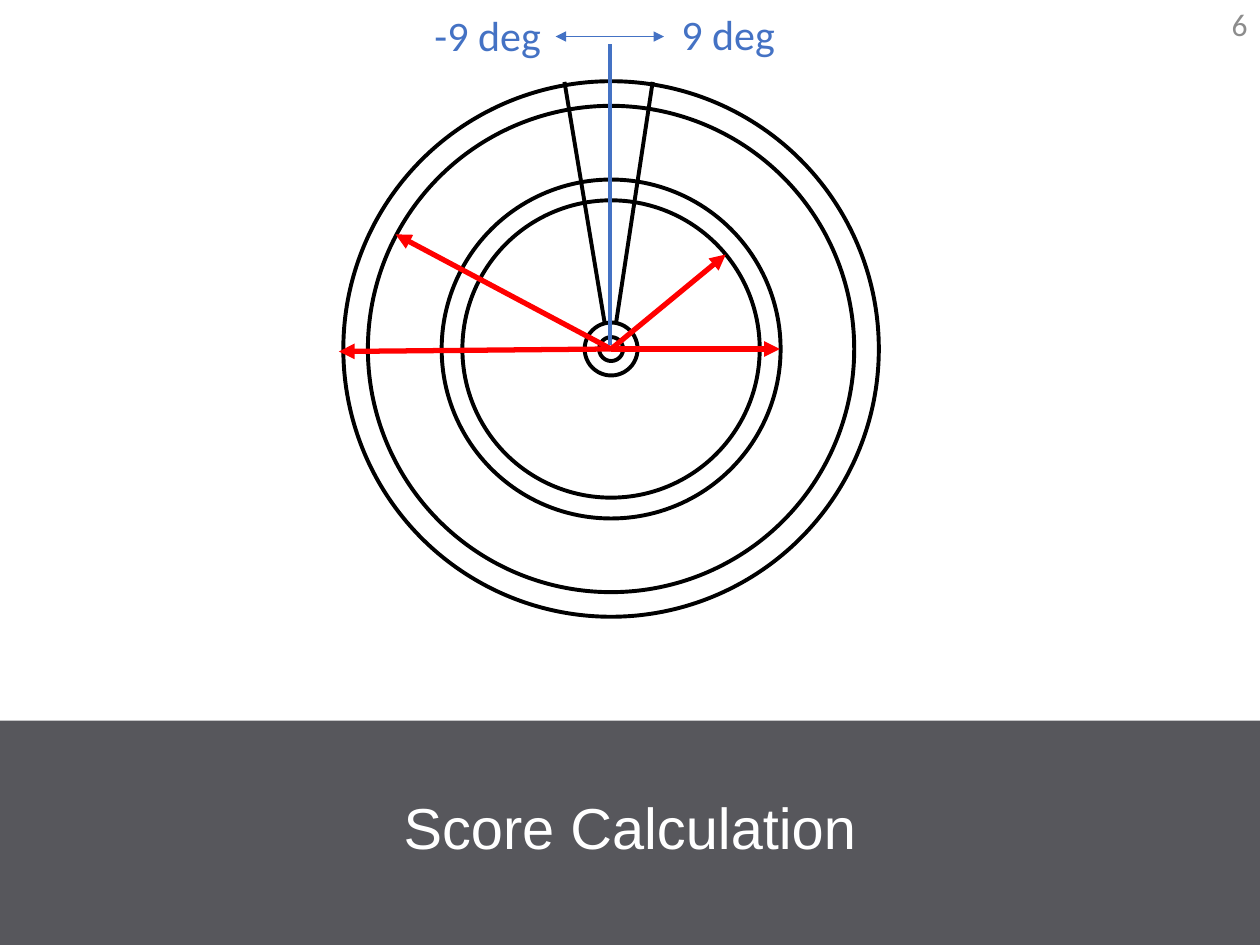
import pptx
import pptx.util
import pptx.dml.color
import pptx.enum.shapes
import pptx.enum.text
import pptx.oxml
import pptx.oxml.ns

Inches = pptx.util.Inches
Pt = pptx.util.Pt
RGBColor = pptx.dml.color.RGBColor
ALIGN = pptx.enum.text.PP_ALIGN
ANCHOR = pptx.enum.text.MSO_ANCHOR
SHAPE = pptx.enum.shapes.MSO_SHAPE

WHITE = RGBColor(0xFF, 0xFF, 0xFF)
BLACK = RGBColor(0x00, 0x00, 0x00)
RED = RGBColor(0xFF, 0x00, 0x00)
BLUE = RGBColor(0x44, 0x72, 0xC4)
GRAY = RGBColor(0x8C, 0x8C, 0x8C)
SLATE = RGBColor(0x57, 0x57, 0x5C)

CENTER = (4.85, 2.77)
RING_DIAMETERS = (0.19, 0.42, 2.36, 2.69, 4.25, 3.86)
WEDGE_SIDES = (((4.8, 2.57), (4.48, 0.65)), ((4.89, 2.56), (5.18, 0.65)))
RADIUS_TIPS = ((5.76, 2.02), (6.19, 2.77), (3.14, 1.86), (2.69, 2.79))


def add_panel(slide):
    s = slide.shapes.add_shape(SHAPE.RECTANGLE, Inches(-0.01), Inches(0),
                               Inches(10.01), Inches(5.72))
    s.shadow.inherit = False
    s.fill.solid()
    s.fill.fore_color.rgb = WHITE
    s.line.fill.background()


def add_ring(slide, diameter):
    """Draw an unfilled circle around the board's centre."""
    left, top = (c - diameter / 2 for c in CENTER)
    s = slide.shapes.add_shape(SHAPE.OVAL, Inches(left), Inches(top),
                               Inches(diameter), Inches(diameter))
    s.shadow.inherit = False
    s.fill.background()
    s.line.color.rgb = BLACK
    s.line.width = Pt(2.25)


def add_line(slide, start, end, color, width, arrows=()):
    """Draw a line; arrows lists the decorated ends in order: headEnd, tailEnd."""
    c = slide.shapes.add_connector(pptx.enum.shapes.MSO_CONNECTOR.STRAIGHT,
                                   *map(Inches, start + end))
    c.line.color.rgb = color
    c.line.width = Pt(width)
    ln = c.line._get_or_add_ln()
    for name in arrows:
        pptx.oxml.ns.qn
        end_mark = pptx.oxml.parse_xml(
            f'<a:{name} {pptx.oxml.ns.nsdecls("a")} type="triangle"/>')
        ln.append(end_mark)
    c._element.spPr.append(
        pptx.oxml.parse_xml(f'<a:effectLst {pptx.oxml.ns.nsdecls("a")}/>'))


def add_text(slide, text, box, size, color, font="Calibri",
             align=ALIGN.LEFT, anchor=ANCHOR.TOP, spacing=1.0):
    tf = slide.shapes.add_textbox(*map(Inches, box)).text_frame
    tf.word_wrap = True
    tf.vertical_anchor = anchor
    p = tf.paragraphs[0]
    p.alignment = align
    p.line_spacing = spacing
    r = p.add_run()
    r.text = text
    for name, value in {"name": font, "size": Pt(size)}.items():
        setattr(r.font, name, value)
    r.font.color.rgb = color


def main():
    prs = pptx.Presentation()
    prs.slide_width, prs.slide_height = Inches(10), Inches(7.5)
    slide = prs.slides.add_slide(prs.slide_layouts[6])
    slide.background.fill.solid()
    slide.background.fill.fore_color.rgb = SLATE

    add_panel(slide)
    add_text(slide, "Score Calculation", (0, 6.06, 10, 1.06), 33, WHITE,
             "Arial", ALIGN.CENTER, ANCHOR.MIDDLE, 0.9)

    for diameter in RING_DIAMETERS:
        add_ring(slide, diameter)
    for start, end in WEDGE_SIDES:
        add_line(slide, start, end, BLACK, 2.25)
    for tip in RADIUS_TIPS:
        add_line(slide, CENTER, tip, RED, 3, ["tailEnd"])
    add_line(slide, (4.84, 2.74), (4.84, 0.35), BLUE, 2.25)
    add_line(slide, (4.41, 0.29), (5.27, 0.29), BLUE, 1, ["headEnd", "tailEnd"])

    add_text(slide, "9 deg", (5.31, 0.02, 1.34, 0.5), 24, BLUE)
    add_text(slide, "-9 deg", (3.35, 0.03, 1.26, 0.5), 24, BLUE)
    add_text(slide, "6", (7.75, -0.01, 2.25, 0.4), 18, GRAY,
             align=ALIGN.RIGHT, anchor=ANCHOR.MIDDLE)
    prs.save("out.pptx")


if __name__ == "__main__":
    main()
